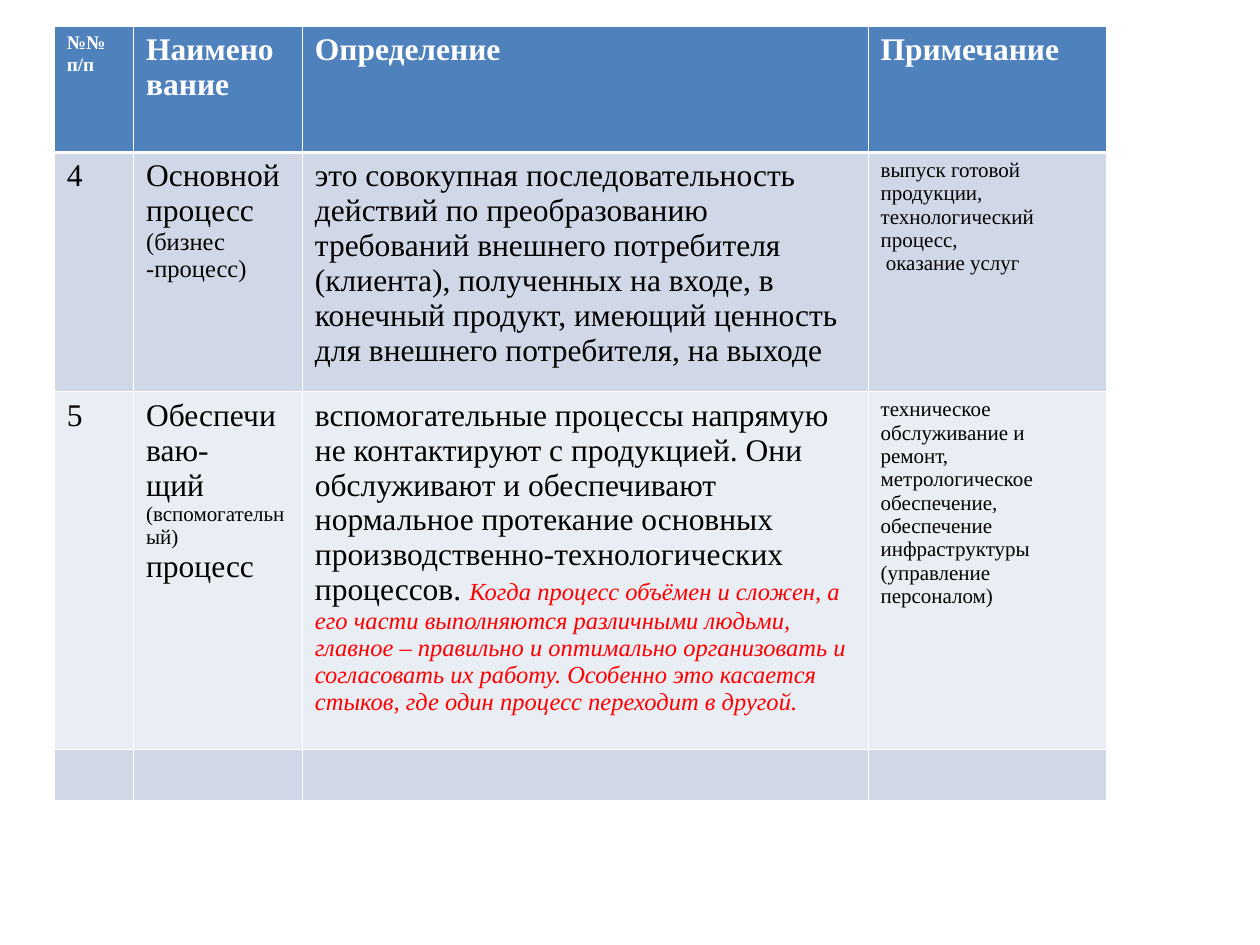
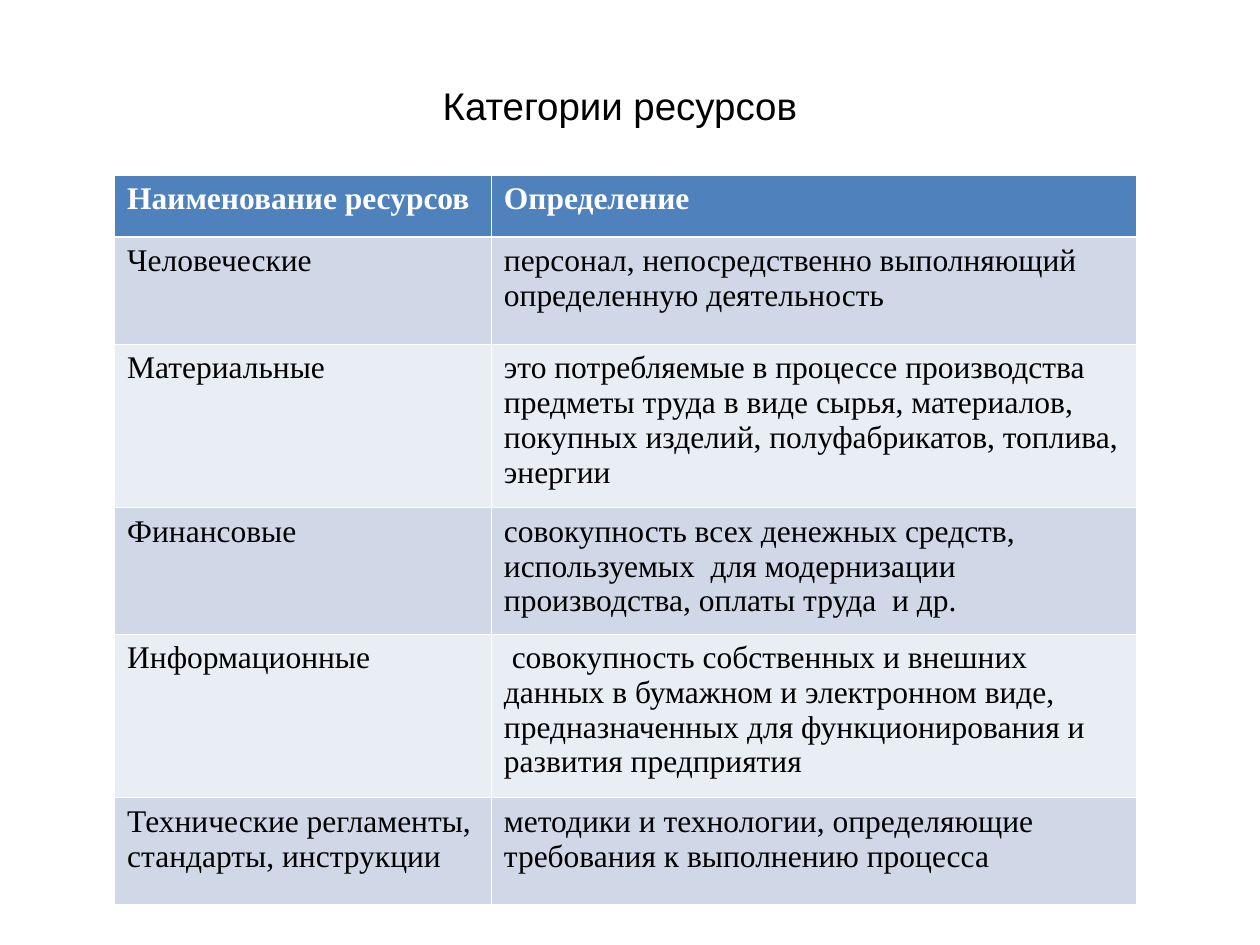
from lxml import etree
from pptx import Presentation
from pptx.dml.color import RGBColor
from pptx.enum import text
from pptx.oxml import ns
from pptx.util import Inches, Pt

HEADER, DARK_BAND, LIGHT_BAND = "4F81BD", "D0D8E8", "E9EDF4"
WHITE, BLACK, RED = "FFFFFF", "000000", "FF0000"
SERIF, SANS = "Times New Roman", "Arial"
THIN, THICK = 0.45, 1.47


def color(value):
    return RGBColor.from_string(value)


def add_table(page, left, top, widths, heights, rows):
    frame = page.shapes.add_table(
        len(rows), len(widths), Inches(left), Inches(top),
        Inches(sum(widths)), Inches(sum(heights)))
    table = frame.table
    for column, width in zip(table.columns, widths):
        column.width = Inches(width)
    for number, (cells, height) in enumerate(zip(rows, heights)):
        table.rows[number].height = Inches(height)
        header = number == 0
        band = HEADER if header else DARK_BAND if number % 2 else LIGHT_BAND
        edges = {"a:lnL": THIN, "a:lnR": THIN,
                 "a:lnT": THICK if number == 1 else THIN,
                 "a:lnB": THICK if header else THIN}
        for cell, content in zip(table.rows[number].cells, cells):
            cell.fill.solid()
            cell.fill.fore_color.rgb = color(band)
            properties = cell._tc.get_or_add_tcPr()
            for position, (tag, weight) in enumerate(edges.items()):
                line = etree.Element(ns.qn(tag), w=str(int(Pt(weight))))
                fill = etree.SubElement(line, ns.qn("a:solidFill"))
                etree.SubElement(fill, ns.qn("a:srgbClr"), val=WHITE)
                properties.insert(position, line)
            for index, pieces in enumerate(content):
                body = cell.text_frame
                para = body.add_paragraph() if index else body.paragraphs[0]
                for words, size, *accent in pieces:
                    span = para.add_run()
                    span.text = words
                    span.font.name = SERIF
                    span.font.size = Pt(size)
                    span.font.bold = header
                    span.font.italic = bool(accent)
                    ink = accent[0] if accent else WHITE if header else BLACK
                    span.font.color.rgb = color(ink)


deck = Presentation()
deck.slide_width, deck.slide_height = Inches(10), Inches(7.5)
blank = deck.slide_layouts[6]

process_rows = [
    [
        [[("№№", 11)], [("п/п", 11)]],
        [[("Наименование", 18)]],
        [[("Определение", 18)]],
        [[("Примечание", 18)]],
    ],
    [
        [[("4", 18)]],
        [[("Основной процесс", 18)], [("(бизнес -процесс)", 14)]],
        [[("это совокупная последовательность действий по преобразованию "
           "требований внешнего потребителя (клиента), полученных на входе, "
           "в конечный продукт, имеющий ценность для внешнего потребителя, "
           "на выходе", 18)]],
        [[("выпуск готовой продукции, технологический процесс,", 12)],
         [(" оказание услуг", 12)]],
    ],
    [
        [[("5", 18)]],
        [[("Обеспечиваю-", 18)],
         [("щий ", 18), ("(вспомогательный)", 12)],
         [("процесс", 18)]],
        [[("вспомогательные процессы напрямую не контактируют с продукцией. "
           "Они обслуживают и обеспечивают нормальное протекание основных "
           "производственно-технологических процессов. ", 18),
          ("Когда процесс объёмен и сложен, а его части выполняются "
           "различными людьми, главное – правильно и оптимально "
           "организовать и согласовать их работу. Особенно это касается "
           "стыков, где один процесс переходит в другой.", 14, RED)]],
        [[("техническое обслуживание и ремонт,", 12)],
         [("метрологическое обеспечение,", 12)],
         [("обеспечение инфраструктуры (управление персоналом)", 12)]],
    ],
    [[], [], [], []],
]
page = deck.slides.add_slide(blank)
add_table(page, 0.43, 0.21, [0.63, 1.34, 4.49, 1.89],
          [1, 1.9, 2.84, 0.4], process_rows)

resources = [
    ("Наименование ресурсов", "Определение"),
    ("Человеческие",
     "персонал, непосредственно выполняющий определенную деятельность"),
    ("Материальные",
     "это потребляемые в процессе производства предметы труда в виде сырья, "
     "материалов, покупных изделий, полуфабрикатов, топлива, энергии"),
    ("Финансовые",
     "совокупность всех денежных средств, используемых  для модернизации "
     "производства, оплаты труда  и др."),
    ("Информационные",
     " совокупность собственных и внешних данных в бумажном и электронном "
     "виде, предназначенных для функционирования и развития предприятия"),
    ("Технические регламенты, стандарты, инструкции",
     "методики и технологии, определяющие требования к выполнению процесса"),
]
page = deck.slides.add_slide(blank)
box = page.shapes.add_textbox(Inches(0.43), Inches(0.6), Inches(8.98), Inches(5.89))
box.text_frame.word_wrap = True
para = box.text_frame.paragraphs[0]
para.alignment = text.PP_ALIGN.CENTER
span = para.add_run()
span.text = "Категории ресурсов"
span.font.name = SANS
span.font.size = Pt(22)
span.font.color.rgb = color(BLACK)
add_table(page, 0.91, 1.39, [2.99, 5.12], [0.49, 0.85, 1.3, 1, 1.3, 0.85],
          [[[[(words, 18)]] for words in row] for row in resources])

deck.save("out.pptx")
